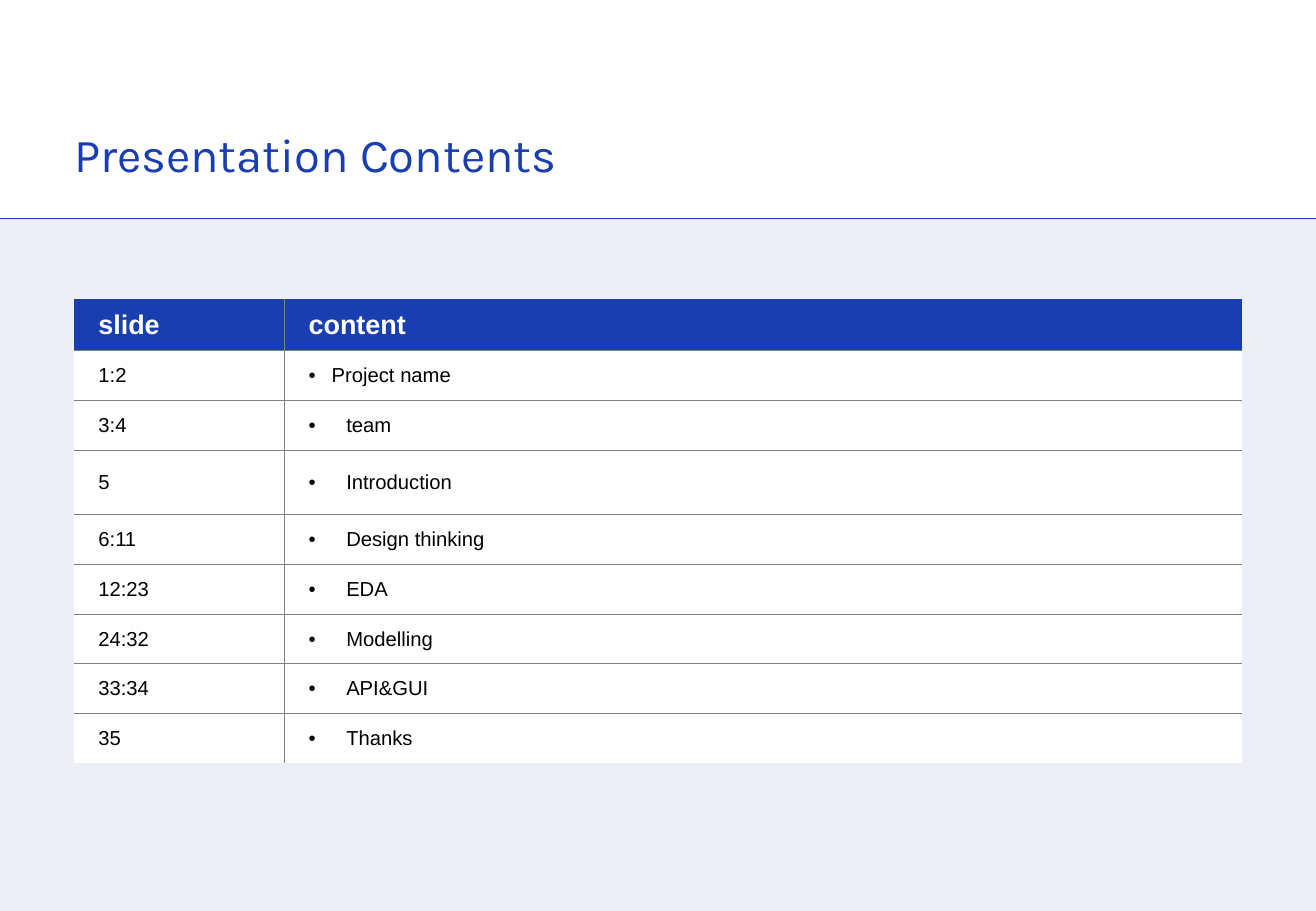
from lxml import etree
from pptx import Presentation, util as u
from pptx.dml.color import RGBColor
from pptx.enum import shapes, text
from pptx.oxml.ns import qn

BLUE = RGBColor(0x19, 0x3E, 0xB0)
PALE = RGBColor(0xEC, 0xEF, 0xF6)
GRAY = RGBColor(0x80, 0x80, 0x80)
WHITE = RGBColor(0xFF, 0xFF, 0xFF)
BLACK = RGBColor(0, 0, 0)

WIDE, HIGH = 10.83, 7.5
SPLIT = 1.8
LEFT, SPAN = 0.61, 9.61

TITLE = {"name": "Karla", "size": u.Pt(28), "color": BLUE}
HEAD = {"name": "Arial", "size": u.Pt(16), "bold": True, "color": WHITE}
BODY = {"name": "Arial", "size": u.Pt(12), "bold": False, "color": BLACK}

COLS = [1.73, 7.88]
TALL = {3: 0.53}
ROWS = [
    ("slide", "content"),
    ("1:2", "Project name"),
    ("3:4", "team"),
    ("5", "Introduction"),
    ("6:11", "Design thinking"),
    ("12:23", "EDA"),
    ("24:32", "Modelling"),
    ("33:34", "API&GUI"),
    ("35", "Thanks"),
]


class Page:
    def __init__(self):
        self.deck = Presentation()
        self.deck.slide_width = u.Inches(WIDE)
        self.deck.slide_height = u.Inches(HIGH)
        self.slide = self.deck.slides.add_slide(self.deck.slide_layouts[6])

    def style(self, para, form):
        for key, val in form.items():
            if key == "color":
                para.font.color.rgb = val
            else:
                setattr(para.font, key, val)

    def panel(self, x, y, w, h, fill):
        box = self.slide.shapes.add_shape(
            shapes.MSO_SHAPE.RECTANGLE, *map(u.Inches, (x, y, w, h)))
        box.shadow.inherit = False
        box.fill.solid()
        box.fill.fore_color.rgb = fill
        box.line.fill.background()

    def rule(self, x1, y1, x2, y2, color):
        line = self.slide.shapes.add_connector(
            shapes.MSO_CONNECTOR.STRAIGHT, *map(u.Inches, (x1, y1, x2, y2)))
        line.line.color.rgb = color
        line.line.width = u.Pt(0.5)
        etree.SubElement(line._element.spPr, qn("a:effectLst"))

    def label(self, x, y, w, h, words, form):
        frame = self.slide.shapes.add_textbox(
            *map(u.Inches, (x, y, w, h))).text_frame
        frame.word_wrap = True
        frame.vertical_anchor = text.MSO_ANCHOR.BOTTOM
        for side in ("left", "right", "top", "bottom"):
            setattr(frame, "margin_" + side, 0)
        frame.text = words
        self.style(frame.paragraphs[0], form)

    def border(self, cell, sides):
        props = cell._tc.get_or_add_tcPr()
        for side, shown in sides.items():
            line = etree.SubElement(props, qn("a:ln" + side), w=str(u.Pt(0.75)))
            if shown:
                fill = etree.SubElement(line, qn("a:solidFill"))
                etree.SubElement(fill, qn("a:srgbClr"), val=str(GRAY))
            else:
                etree.SubElement(line, qn("a:noFill"))

    def bullet(self, para, indent):
        props = para._p.get_or_add_pPr()
        props.set("marL", str(u.Inches(indent)))
        props.set("indent", str(-u.Inches(indent)))
        etree.SubElement(props, qn("a:buFont"), typeface="Arial")
        etree.SubElement(props, qn("a:buChar"), char="•")

    def cell(self, cell, words, form, fill, sides, indent):
        self.border(cell, sides)
        cell.fill.solid()
        cell.fill.fore_color.rgb = fill
        cell.vertical_anchor = text.MSO_ANCHOR.MIDDLE
        cell.margin_left = cell.margin_right = u.Inches(0.2)
        cell.margin_top = cell.margin_bottom = u.Inches(0.08)
        cell.text = words
        para = cell.text_frame.paragraphs[0]
        if indent:
            self.bullet(para, indent)
        self.style(para, form)

    def table(self, x, y, cols, rows):
        highs = [TALL.get(r, 0.41) for r in range(len(rows))]
        grid = self.slide.shapes.add_table(
            len(rows), len(cols),
            *map(u.Inches, (x, y, sum(cols), sum(highs)))).table
        grid.first_row = grid.horz_banding = False
        for col, wide in zip(grid.columns, cols):
            col.width = u.Inches(wide)
        for row, high in zip(grid.rows, highs):
            row.height = u.Inches(high)
        for r, row in enumerate(rows):
            form, fill = (BODY, WHITE) if r else (HEAD, BLUE)
            for c, words in enumerate(row):
                # Only the inner edges are drawn
                sides = {"L": c > 0, "R": c < len(cols) - 1,
                         "T": r > 0, "B": r < len(rows) - 1}
                indent = (0.19 if r == 1 else 0.31) if r and c else 0
                self.cell(grid.cell(r, c), words, form, fill, sides, indent)


def main():
    page = Page()
    # Lower panel and its top edge
    page.panel(0, SPLIT, WIDE, HIGH - SPLIT, PALE)
    page.rule(0, SPLIT, WIDE, SPLIT, BLUE)
    # Title
    page.label(LEFT, 1.03, SPAN, 0.47, "Presentation Contents", TITLE)
    # Contents table
    page.table(LEFT, 2.46, COLS, ROWS)
    page.deck.save("out.pptx")


if __name__ == "__main__":
    main()
